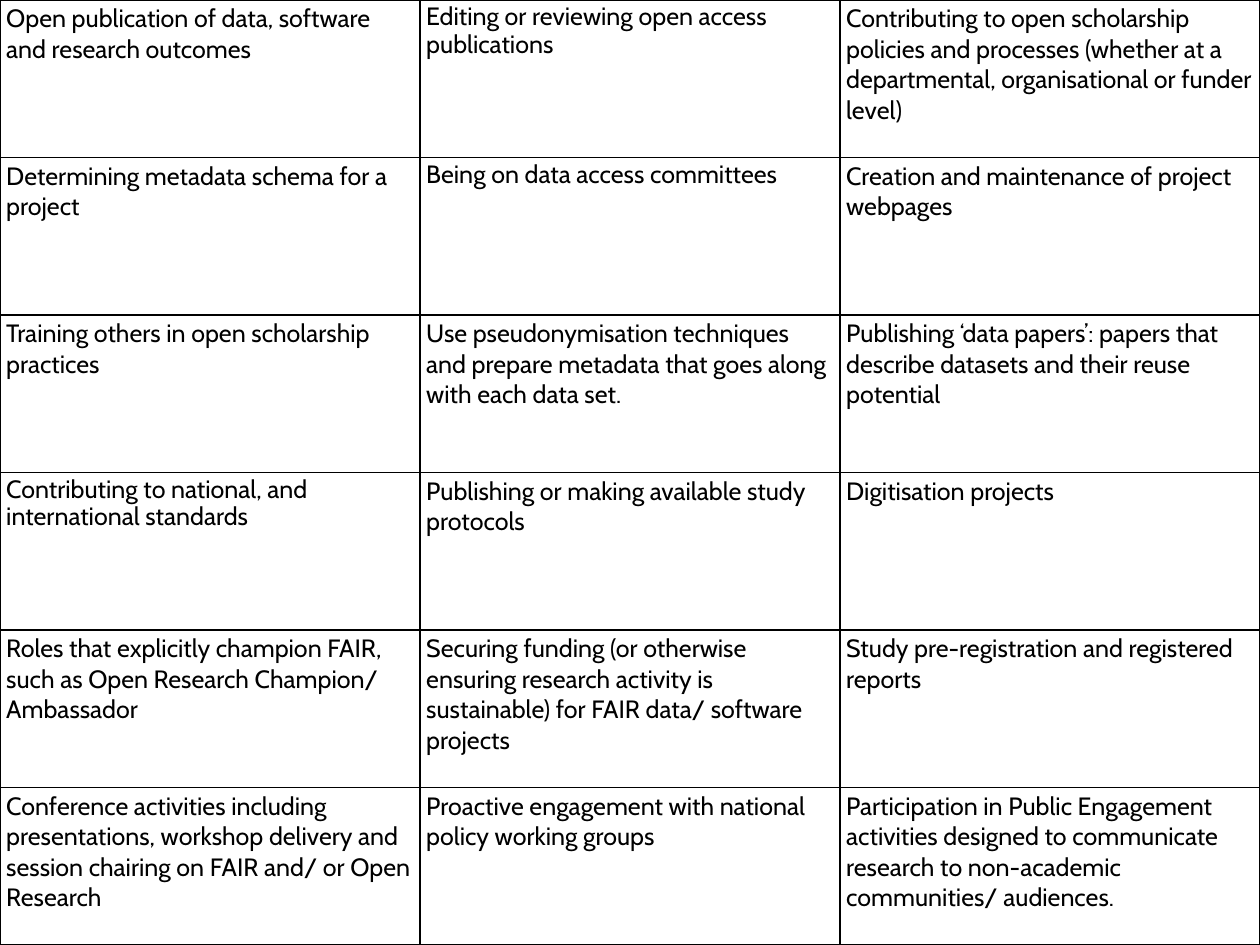
from lxml import etree
from pptx import Presentation
from pptx.dml.color import RGBColor
from pptx.oxml import parse_xml
from pptx.util import Pt

NS = "http://schemas.openxmlformats.org/drawingml/2006/main"
THEME = {"font": "Cabin", "size": Pt(20), "ink": "000000", "border": Pt(1)}
INSETS = {"margin_left": Pt(5), "margin_right": Pt(5),
          "margin_top": Pt(3), "margin_bottom": Pt(3)}
TIGHT = {"level": 1, "line_spacing": 0.9, "space_after": Pt(3)}
WIDTH, HEIGHT = 1008, 756

ACTIVITIES = [
    ["Open publication of data, software and research outcomes",
     "Editing or reviewing open access publications",
     "Contributing to open scholarship policies and processes "
     "(whether at a departmental, organisational or funder level)"],
    ["Determining metadata schema for a project",
     "Being on data access committees",
     "Creation and maintenance of project webpages"],
    ["Training others in open scholarship practices",
     "Use pseudonymisation techniques and prepare metadata that goes "
     "along with each data set.",
     "Publishing ‘data papers’: papers that describe datasets and their "
     "reuse potential"],
    ["Contributing to national, and international standards",
     "Publishing or making available study protocols",
     "Digitisation projects"],
    ["Roles that explicitly champion FAIR, such as Open Research "
     "Champion/ Ambassador",
     "Securing funding (or otherwise ensuring research activity is "
     "sustainable) for FAIR data/ software projects",
     "Study pre-registration and registered reports"],
    ["Conference activities including presentations, workshop delivery and "
     "session chairing on FAIR and/ or Open Research",
     "Proactive engagement with national policy working groups",
     "Participation in Public Engagement activities designed to communicate "
     "research to non-academic communities/ audiences."],
]
TIGHT_CELLS = {(0, 1), (1, 1), (3, 0)}  # row, column


def set_borders(cell):
    """Draw a solid line on all four sides of a cell."""
    tcPr = cell._tc.get_or_add_tcPr()
    for side in ("lnL", "lnR", "lnT", "lnB"):
        tcPr.append(parse_xml(
            f'<a:{side} xmlns:a="{NS}" w="{THEME["border"]}"><a:solidFill>'
            f'<a:srgbClr val="{THEME["ink"]}"/></a:solidFill></a:{side}>'))


# Slide
prs = Presentation()
prs.slide_width, prs.slide_height = Pt(WIDTH), Pt(HEIGHT)
s = prs.slides.add_slide(prs.slide_layouts[6])

# Table filling the slide, with equal rows and columns
n_rows, n_cols = len(ACTIVITIES), len(ACTIVITIES[0])
table = s.shapes.add_table(n_rows, n_cols, 0, 0, Pt(WIDTH), Pt(HEIGHT)).table
table.first_row = table.horz_banding = False
for col in table.columns:
    col.width = Pt(WIDTH / n_cols)
for row in table.rows:
    row.height = Pt(HEIGHT / n_rows)

# Cells
for i, texts in enumerate(ACTIVITIES):
    for j, text in enumerate(texts):
        cell = table.cell(i, j)
        for name, value in INSETS.items():
            setattr(cell, name, value)
        set_borders(cell)
        cell.fill.background()

        p = cell.text_frame.paragraphs[0]
        if (i, j) in TIGHT_CELLS:
            for name, value in TIGHT.items():
                setattr(p, name, value)
            pPr = p._p.get_or_add_pPr()
            pPr.set("marL", "0")
            pPr.set("indent", "0")
            etree.SubElement(pPr, f"{{{NS}}}buNone")
        r = p.add_run()
        r.text = text
        for name, value in {"name": THEME["font"], "size": THEME["size"],
                            "bold": False}.items():
            setattr(r.font, name, value)
        r.font.color.rgb = RGBColor.from_string(THEME["ink"])

prs.save("out.pptx")
